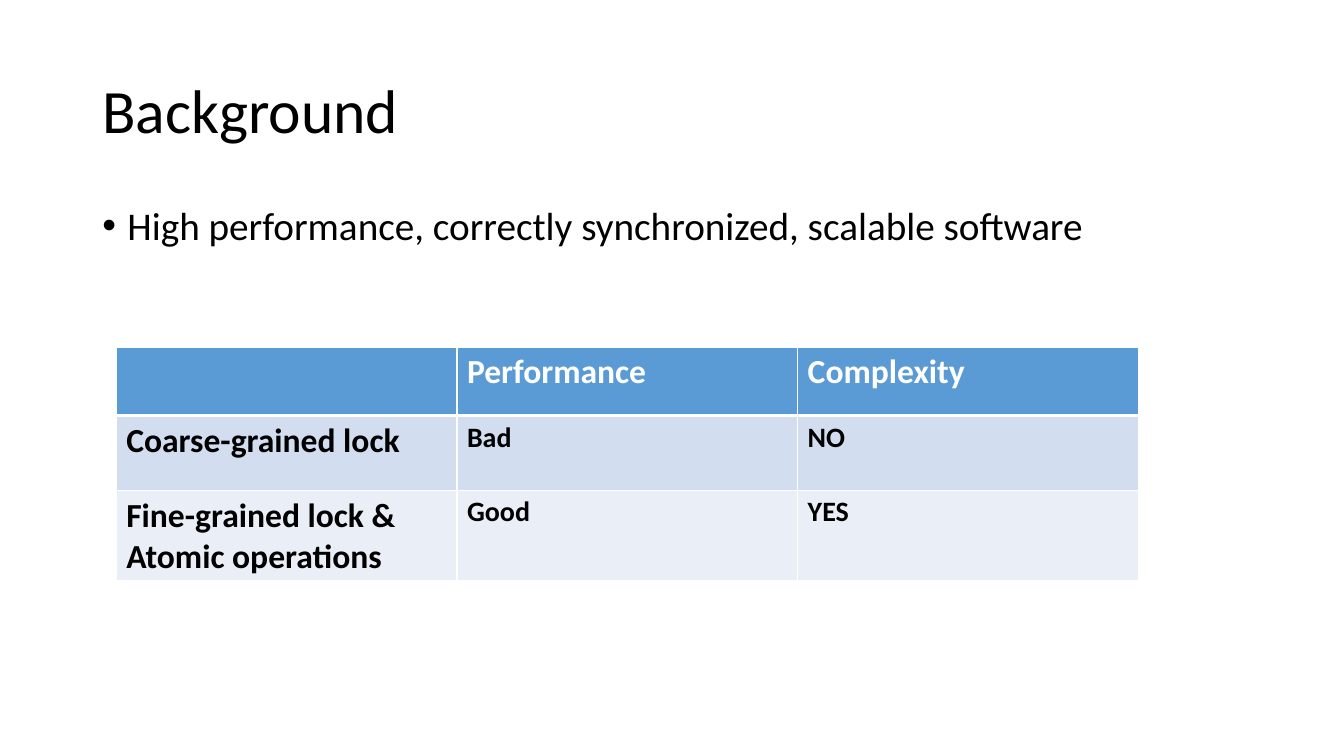
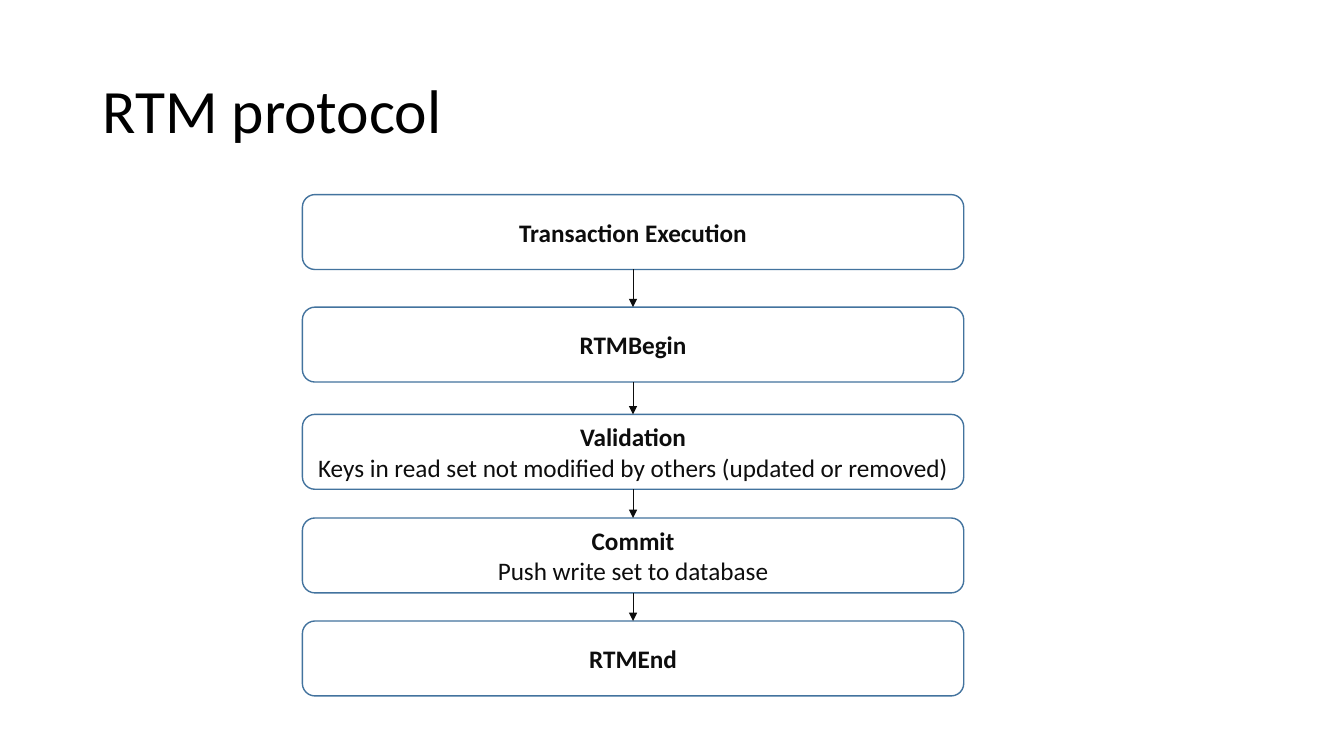
import dataclasses
import itertools

import lxml.etree
import pptx
import pptx.dml.color
import pptx.enum.shapes
import pptx.enum.text
import pptx.oxml
import pptx.oxml.ns
import pptx.util

Pt = pptx.util.Pt
MIDDLE = pptx.enum.text.MSO_ANCHOR.MIDDLE
CENTER = pptx.enum.text.PP_ALIGN.CENTER


@dataclasses.dataclass(frozen=True)
class Theme:
    """Colours, font and type sizes shared by the slides."""
    font: str = "Calibri"
    black: str = "000000"
    white: str = "FFFFFF"
    ink: str = "0D0D0D"
    outline: str = "43739E"
    header: str = "5B9BD5"
    bands: tuple = ("D2DEEF", "EAEFF7")
    title_size: float = 44
    body_size: float = 28
    label_size: float = 24
    value_size: float = 20
    step_size: float = 18
    margin: float = 66
    content_width: float = 828


def rgb(code):
    """Turn a hex code into a colour."""
    return pptx.dml.color.RGBColor.from_string(code)


def add_xml(parent, tag, **attributes):
    """Append a DrawingML element to parent and return it."""
    return lxml.etree.SubElement(parent, pptx.oxml.ns.qn(tag), attributes)


class Deck:
    """Holds the theme and the current slide, and draws each kind of element."""

    def __init__(self, theme):
        """Start an empty widescreen presentation."""
        self.theme = theme
        self.presentation = pptx.Presentation()
        self.presentation.slide_width = Pt(960)
        self.presentation.slide_height = Pt(540)
        self.slide = None

    def style(self, paragraph, size, color, bold=False):
        """Set the font of a whole paragraph."""
        font = paragraph.font
        font.name, font.size, font.bold = self.theme.font, Pt(size), bold
        font.color.rgb = rgb(color)

    def text(self, words, top, height, size):
        """Add a wrapped text box across the content width."""
        box = self.slide.shapes.add_textbox(
            Pt(self.theme.margin), Pt(top), Pt(self.theme.content_width), Pt(height))
        box.text_frame.word_wrap = True
        paragraph = box.text_frame.paragraphs[0]
        paragraph.text = words
        paragraph.line_spacing = 0.9
        self.style(paragraph, size, self.theme.black)
        return box.text_frame

    def new_slide(self, title):
        """Add a blank slide with its title."""
        self.slide = self.presentation.slides.add_slide(
            self.presentation.slide_layouts[6])
        self.text(title, 28.75, 104.4, self.theme.title_size).vertical_anchor = MIDDLE

    def bullet(self, words, top, height):
        """Add a bulleted line of body text."""
        paragraph = self.text(words, top, height, self.theme.body_size).paragraphs[0]
        paragraph.space_before = Pt(10)
        properties = paragraph._p.get_or_add_pPr()
        properties.set("marL", str(Pt(18)))
        properties.set("indent", str(Pt(-18)))
        bullet_font = pptx.oxml.parse_xml(
            '<a:buFont %s typeface="Arial"/>' % pptx.oxml.ns.nsdecls("a"))
        bullet_mark = pptx.oxml.parse_xml(
            '<a:buChar %s char="\u2022"/>' % pptx.oxml.ns.nsdecls("a"))
        defaults = properties.find(pptx.oxml.ns.qn("a:defRPr"))
        defaults.addprevious(bullet_font)
        defaults.addprevious(bullet_mark)

    def cell(self, cell, words, fill, size, color, bottom):
        """Fill one table cell and draw its white borders."""
        properties = cell._tc.get_or_add_tcPr()
        for side, width in (("L", 1), ("R", 1), ("T", 1), ("B", bottom)):
            border = add_xml(properties, "a:ln" + side, w=str(Pt(width)))
            solid = add_xml(border, "a:solidFill")
            add_xml(solid, "a:srgbClr", val=self.theme.white)
        cell.fill.solid()
        cell.fill.fore_color.rgb = rgb(fill)
        cell.text = words
        self.style(cell.text_frame.paragraphs[0], size, color, bold=True)

    def table(self, rows, left, top, column_width, row_heights):
        """Add a table with a header row, a label column and banded rows."""
        theme = self.theme
        columns = len(rows[0])
        table = self.slide.shapes.add_table(
            len(rows), columns, Pt(left), Pt(top),
            Pt(column_width * columns), Pt(sum(row_heights))).table
        table.first_row = table.horz_banding = False
        for column in table.columns:
            column.width = Pt(column_width)
        for r, (words, height) in enumerate(zip(rows, row_heights)):
            table.rows[r].height = Pt(height)
            is_header = r == 0
            fill = theme.header if is_header else theme.bands[(r - 1) % 2]
            color = theme.white if is_header else theme.black
            for c, word in enumerate(words):
                size = theme.label_size if is_header or c == 0 else theme.value_size
                self.cell(table.cell(r, c), word, fill, size, color,
                          3 if is_header else 1)

    def step(self, lines, left, top, width, height):
        """Add a rounded box with a bold heading and optional detail lines."""
        box = self.slide.shapes.add_shape(
            pptx.enum.shapes.MSO_SHAPE.ROUNDED_RECTANGLE,
            Pt(left), Pt(top), Pt(width), Pt(height))
        box.shadow.inherit = False
        box.fill.background()
        box.line.color.rgb = rgb(self.theme.outline)
        box.line.width = Pt(1)
        frame = box.text_frame
        frame.word_wrap = True
        frame.vertical_anchor = MIDDLE
        frame.text = "\n".join(lines)
        for i, paragraph in enumerate(frame.paragraphs):
            paragraph.alignment = CENTER
            self.style(paragraph, self.theme.step_size, self.theme.ink, bold=i == 0)
        return box

    def arrow(self, upper, lower):
        """Connect the bottom of one box to the top of the next."""
        arrow = self.slide.shapes.add_connector(
            pptx.enum.shapes.MSO_CONNECTOR.STRAIGHT, 0, 0, 0, 0)
        arrow.begin_connect(upper, 2)
        arrow.end_connect(lower, 0)
        arrow.line.color.rgb = rgb(self.theme.ink)
        arrow.line.width = Pt(0.5)
        add_xml(arrow.line._get_or_add_ln(), "a:tailEnd", type="triangle")
        add_xml(arrow._element.spPr, "a:effectLst")


def build_background(deck):
    """Build the comparison of locking approaches."""
    deck.new_slide("Background")
    deck.bullet("High performance, correctly synchronized, scalable software", 144, 61)
    deck.table(
        [("", "Performance", "Complexity"),
         ("Coarse-grained lock", "Bad", "NO"),
         ("Fine-grained lock & Atomic operations", "Good", "YES")],
        left=83, top=247.8, column_width=243.4, row_heights=(49, 53.3, 56))


def build_protocol(deck):
    """Build the chain of protocol steps."""
    deck.new_slide("RTM protocol")
    steps = [
        (139, ["Transaction Execution"]),
        (219.4, ["RTMBegin"]),
        (296, ["Validation",
               "Keys in read set not modified by others (updated or removed)"]),
        (370, ["Commit", "Push write set to database"]),
        (443.6, ["RTMEnd"]),
    ]
    boxes = [deck.step(lines, 216, top, 472.4, 53.5) for top, lines in steps]
    for upper, lower in itertools.pairwise(boxes):
        deck.arrow(upper, lower)


deck = Deck(Theme())
build_background(deck)
build_protocol(deck)
deck.presentation.save("out.pptx")
